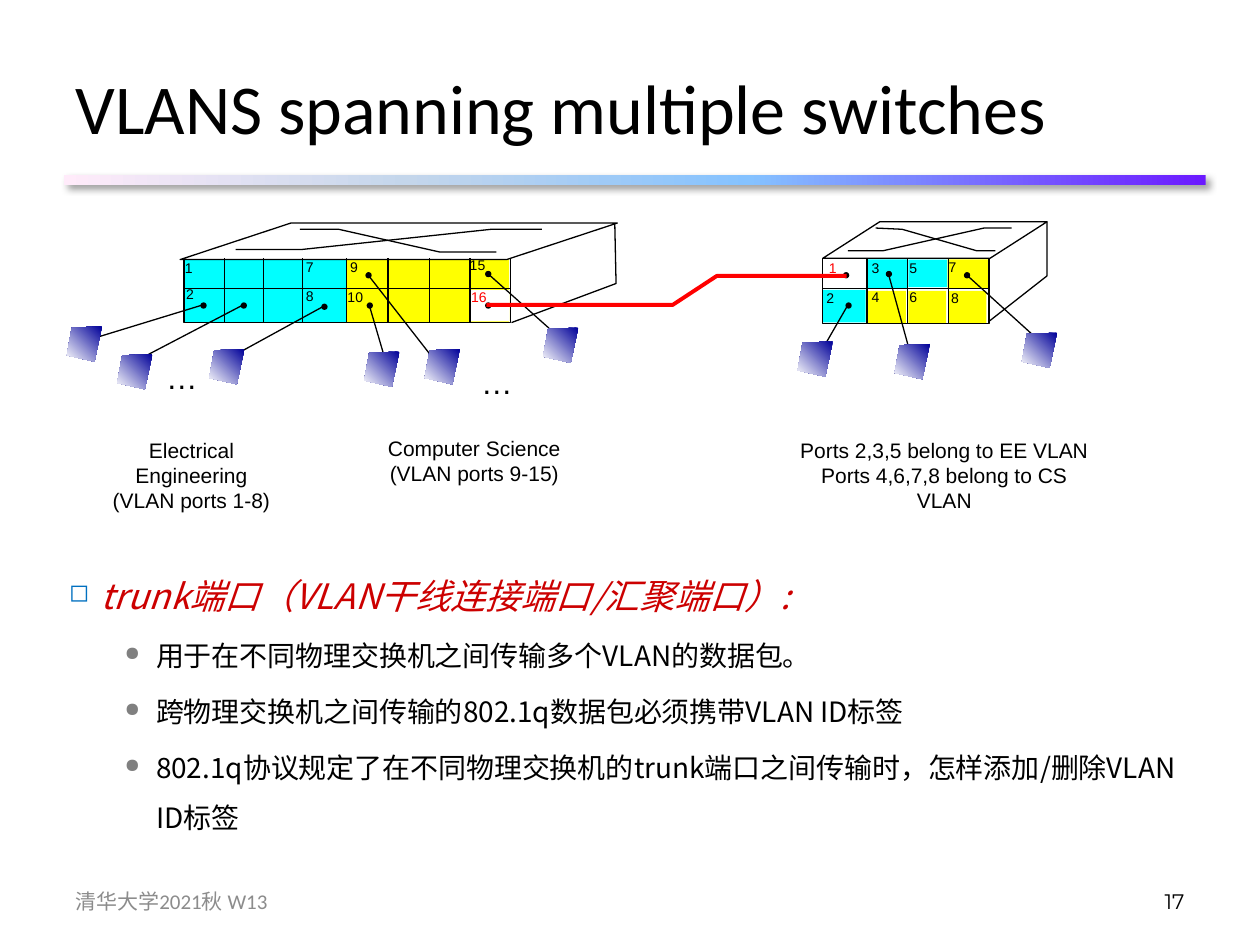
from dataclasses import dataclass

from lxml.etree import SubElement
from pptx import Presentation
from pptx.dml.color import RGBColor
from pptx.enum.shapes import MSO_CONNECTOR, MSO_SHAPE
from pptx.enum.text import MSO_ANCHOR, PP_ALIGN
from pptx.oxml import parse_xml
from pptx.oxml.ns import nsdecls, qn
from pptx.util import Pt

SCALE = 9144  # EMU per px, 100 px to the inch


@dataclass(frozen=True)
class Theme:
    black: str = "000000"
    white: str = "FFFFFF"
    cyan: str = "00FFFF"
    yellow: str = "FFFF00"
    red: str = "FF0000"
    lead: str = "CC0000"
    gray: str = "8C8C8C"
    square: str = "0070C0"
    dot: str = "808080"
    host: tuple = ((0, "000099"), (100, "FFFFFF"))
    bar: tuple = ((0, "6B19FF"), (40, "85C2FF"), (70, "C4D6EB"), (100, "FFEBFA"))
    head: str = "Calibri"
    sans: str = "Arial"
    cjk: str = "Noto Sans CJK SC"
    num: str = "Montserrat"
    title: int = 40
    large: int = 20
    body: int = 16
    more: int = 18
    note: int = 12
    port: int = 8
    thin: float = 0.75
    thick: float = 2.25


T = Theme()


def px(*nums):
    return [round(n * SCALE) for n in nums]


def rgb(code):
    return RGBColor.from_string(code)


def paint(shape, fill=None, line=None, width=T.thin):
    shape.shadow.inherit = False
    if fill:
        shape.fill.solid()
        shape.fill.fore_color.rgb = rgb(fill)
    else:
        shape.fill.background()
    if line:
        shape.line.color.rgb = rgb(line)
        shape.line.width = Pt(width)
    else:
        shape.line.fill.background()
    return shape


def blend(shape, stops, angle):
    marks = "".join(
        f'<a:gs pos="{pos * 1000}"><a:srgbClr val="{code}"/></a:gs>' for pos, code in stops)
    grad = parse_xml(f'<a:gradFill {nsdecls("a")} rotWithShape="1"><a:gsLst>{marks}</a:gsLst>'
                     f'<a:lin ang="{angle * 60000}" scaled="0"/></a:gradFill>')
    props = shape._element.spPr
    props.replace(props.find(qn("a:noFill")), grad)


def block(slide, kind, box, fill=None, line=None):
    return paint(slide.shapes.add_shape(kind, *px(*box)), fill, line)


def trace(slide, points, line=None, width=T.thin, close=False):
    (left, top), *rest = points
    form = slide.shapes.build_freeform(left, top, scale=SCALE)
    form.add_line_segments(rest, close=close)
    return paint(form.convert_to_shape(), None, line, width)


def rule(slide, start, end):
    line = slide.shapes.add_connector(MSO_CONNECTOR.STRAIGHT, *px(*start, *end))
    line.line.color.rgb = rgb(T.black)
    line.line.width = Pt(T.thin)
    SubElement(line._element.spPr, qn("a:effectLst"))


def style(para, size, face, color=T.black, slant=False):
    for run in para.runs:
        font = run.font
        font.size, font.name, font.italic = Pt(size), face, slant
        font.color.rgb = rgb(color)
        east = SubElement(run._r.get_or_add_rPr(), qn("a:ea"))
        east.set("typeface", T.cjk)


def label(slide, box, text, size, face=T.sans, color=T.black,
          align=PP_ALIGN.LEFT, wrap=False, anchor=MSO_ANCHOR.TOP):
    frame = slide.shapes.add_textbox(*px(*box)).text_frame
    frame.text = text
    frame.word_wrap = wrap
    frame.vertical_anchor = anchor
    for para in frame.paragraphs:
        para.alignment = align
        style(para, size, face, color)


def bullet(para, mark, color, indent):
    para.line_spacing = 1.5
    props = para._p.get_or_add_pPr()
    props.set("marL", str(px(indent)[0]))
    props.set("indent", str(px(-25)[0]))
    tint = SubElement(props, qn("a:buClr"))
    SubElement(tint, qn("a:srgbClr")).set("val", color)
    SubElement(props, qn("a:buSzPct")).set("val", "70000")
    SubElement(props, qn("a:buChar")).set("char", mark)


def switch(slide, fills, front, roof, skew, strokes, cols):
    for color, *box in fills:
        block(slide, MSO_SHAPE.RECTANGLE, box, color)
    left, top, wide, high = front
    block(slide, MSO_SHAPE.RECTANGLE, front, None, T.black)
    lid = block(slide, MSO_SHAPE.PARALLELOGRAM, roof, T.white, T.black)
    lid.adjustments[0] = skew
    for points in strokes:
        trace(slide, points, T.black)
    rule(slide, (left, 229), (left + wide, 229))
    for col in cols:
        rule(slide, (col, top), (col, top + high))


def link(slide, port, end, host):
    rule(slide, port, end)
    spot(slide, port)
    left, top = host
    shape = [(28, 0), (4, 1), (0, 23), (22, 28)]
    form = trace(slide, [(left + x, top + y) for x, y in shape], close=True)
    blend(form, T.host, 135)


def spot(slide, port):
    x, y = port
    block(slide, MSO_SHAPE.OVAL, (x - 2, y - 2, 5, 5), T.black)


def ports(slide, items, color=T.black):
    for text, left, top in items:
        label(slide, (left, top, 19 + 7 * len(text), 23), text, T.port, color=color)


def header(slide):
    bar = block(slide, MSO_SHAPE.RECTANGLE, (51, 139, 906, 8))
    blend(bar, T.bar, 180)
    glow = bar._element.spPr.find(qn("a:effectLst"))
    glow.append(parse_xml(
        f'<a:outerShdw {nsdecls("a")} blurRad="{Pt(4)}" dist="{Pt(3)}" dir="2700000">'
        '<a:srgbClr val="000000"><a:alpha val="40000"/></a:srgbClr></a:outerShdw>'))
    title = slide.shapes.title
    title.left, title.top, title.width, title.height = px(50, 30, 900, 109)
    frame = title.text_frame
    frame.text = "VLANS spanning multiple switches"
    frame.vertical_anchor = MSO_ANCHOR.MIDDLE
    frame.paragraphs[0].alignment = PP_ALIGN.LEFT
    style(frame.paragraphs[0], T.title, T.head)


def body(slide):
    frame = slide.shapes.add_textbox(*px(45, 434, 907, 294)).text_frame
    frame.word_wrap = True
    lead, *rest = lines = [
        "trunk端口（VLAN干线连接端口/汇聚端口）:",
        "用于在不同物理交换机之间传输多个VLAN的数据包。",
        "跨物理交换机之间传输的802.1q数据包必须携带VLAN ID标签",
        "802.1q协议规定了在不同物理交换机的trunk端口之间传输时，怎样添加/删除VLAN ID标签"]
    frame.text = "\n".join(lines)
    first, *others = frame.paragraphs
    bullet(first, "◻", T.square, 25)
    style(first, T.large, T.cjk, T.lead, True)
    for para in others:
        para.level = 1
        para.space_before = Pt(T.body * 0.2)
        bullet(para, "●", T.dot, 69)
        style(para, T.body, T.cjk)


def main():
    deck = Presentation()
    deck.slide_width, deck.slide_height = px(1000, 750)
    slide = deck.slides.add_slide(deck.slide_layouts[5])
    header(slide)

    # Left switch, 16 ports
    switch(slide,
           [(T.cyan, 146, 206, 129, 50), (T.yellow, 275, 206, 129, 50),
            (T.white, 373, 230, 31, 25)],
           (146, 205, 259, 51), (143, 177, 347, 29), 3.03,
           [[(406, 256), (489, 225), (488, 177)],
            [(187, 198), (240, 198), (390, 182), (430, 182)],
            [(238, 182), (269, 182), (349, 200), (394, 200)]],
           (178, 209, 240, 275, 308, 341, 373))

    # Right switch, 8 ports
    switch(slide,
           [(T.cyan, 653, 230, 34, 26), (T.cyan, 689, 206, 31, 23),
            (T.cyan, 721, 206, 31, 22), (T.yellow, 752, 206, 32, 23)]
           + [(T.yellow, left, 231, 30, 26) for left in (689, 721, 753)],
           (653, 205, 132, 52), (653, 176, 178, 29), 1.56,
           [[(831, 176), (831, 219), (785, 255)],
            [(673, 199), (701, 199), (781, 181), (803, 181)],
            [(695, 181), (716, 182), (775, 199), (790, 199)]],
           (688, 720, 753))

    # Hosts wired to their ports
    for port, end, host in [
            ((161, 242), (63, 272), (53, 259)), ((193, 242), (105, 288), (93, 281)),
            ((257, 243), (184, 283), (166, 277)), ((293, 242), (305, 283), (289, 279)),
            ((292, 218), (345, 286), (337, 277)), ((387, 217), (443, 267), (431, 260)),
            ((673, 242), (654, 275), (633, 271)), ((705, 217), (724, 286), (710, 273)),
            ((767, 218), (821, 267), (811, 264))]:
        link(slide, port, end, host)

    # Port numbers
    ports(slide, [("1", 137, 201), ("2", 138, 222), ("7", 233, 200), ("8", 233, 223),
                  ("9", 268, 200), ("10", 266, 224), ("15", 363, 199),
                  ("2", 646, 225), ("3", 682, 201), ("4", 682, 224), ("5", 712, 201),
                  ("6", 712, 224), ("7", 743, 200), ("8", 745, 225)])

    # Trunk between the switches
    ports(slide, [("16", 364, 224), ("1", 648, 201)], T.red)
    for port in ((387, 242), (671, 218)):
        spot(slide, port)
    trace(slide, [(386, 242), (534, 242), (569, 219), (672, 219)], T.red, T.thick)

    # Captions
    for left, top in ((122, 279), (372, 283)):
        label(slide, (left, top, 45, 40), "…", T.more)
    for box, text, wrap in [
            ((67, 342, 170, 70), "Electrical Engineering\n(VLAN ports 1-8)", True),
            ((298, 341, 157, 50), "Computer Science\n(VLAN ports 9-15)", False),
            ((618, 342, 263, 50),
             "Ports 2,3,5 belong to EE VLAN\nPorts 4,6,7,8 belong to CS VLAN", False)]:
        label(slide, box, text, T.note, align=PP_ALIGN.CENTER, wrap=wrap)

    # Text and footer
    body(slide)
    label(slide, (50, 695, 233, 40), "清华大学2021秋 W13", T.note, T.head, T.gray,
          wrap=True, anchor=MSO_ANCHOR.MIDDLE)
    label(slide, (717, 695, 233, 40), "17", T.note, T.num, align=PP_ALIGN.RIGHT,
          wrap=True, anchor=MSO_ANCHOR.MIDDLE)
    deck.save("out.pptx")


if __name__ == "__main__":
    main()
